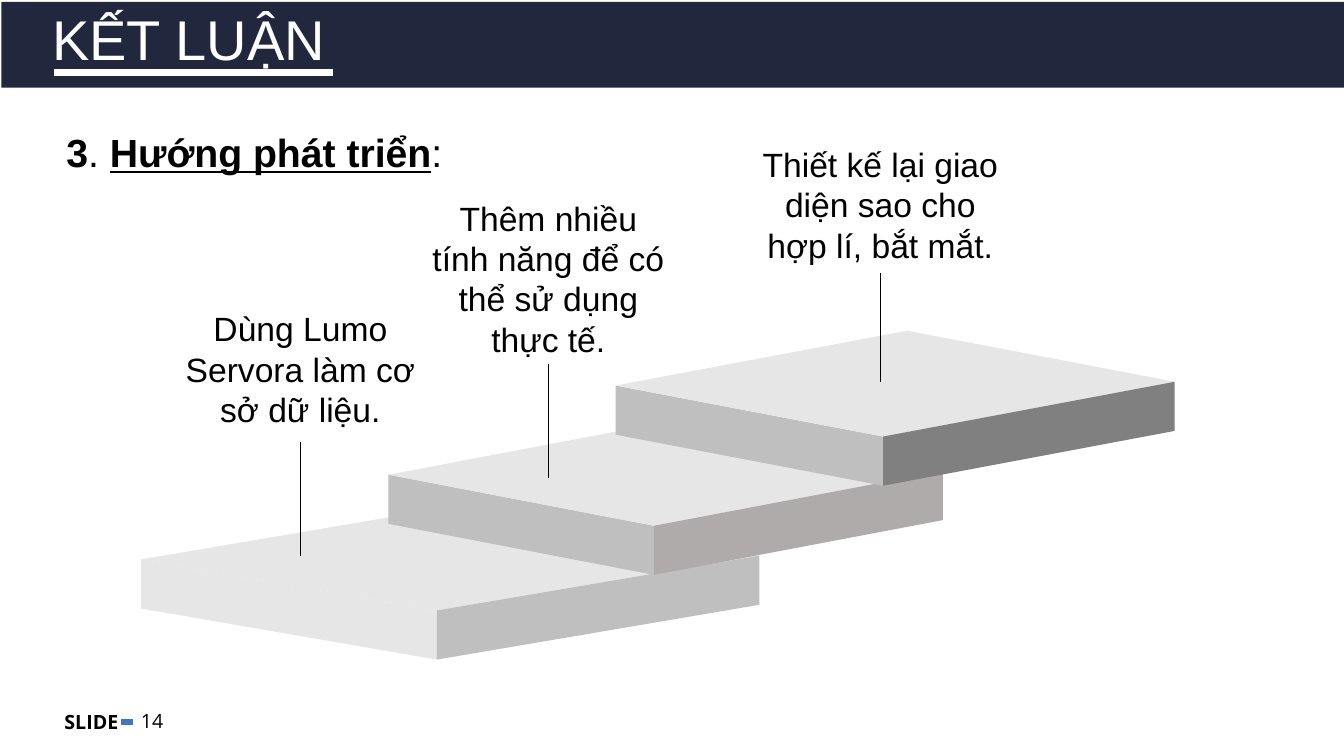
import pptx
import pptx.util
import pptx.dml.color
import pptx.enum.shapes
import pptx.enum.text
import pptx.oxml.ns
import lxml.etree

RGBColor = pptx.dml.color.RGBColor
ALIGN = pptx.enum.text.PP_ALIGN
BLACK = RGBColor(0x00, 0x00, 0x00)
WHITE = RGBColor(0xFF, 0xFF, 0xFF)
NAVY = RGBColor(0x00, 0x08, 0x20)
BLUE = RGBColor(0x44, 0x72, 0xC4)
PALE = RGBColor(0xE6, 0xE6, 0xE6)
SILVER = RGBColor(0xBF, 0xBF, 0xBF)
WARM_GREY = RGBColor(0xAF, 0xAB, 0xAB)
DARK_GREY = RGBColor(0x80, 0x80, 0x80)

SLIDE_WIDTH = pptx.util.Inches(13.33)
SLIDE_HEIGHT = pptx.util.Inches(7.5)

# Shared proportions of the steps and captions, in percent of the slide
FRONT_DROP = 6.75
RIGHT_RISE = 7.25
STEP_DEPTH = 6.5
CAPTION_WIDTH = 19.4
LINE_HEIGHT = 5.4

# West, front and right corner x, west corner y, left and right side colours
STEPS = [
    (10.5, 32.5, 56.5, 74, PALE, SILVER),
    (28.9, 48.65, 70.15, 62.8, SILVER, WARM_GREY),
    (45.8, 65.7, 87.4, 51, SILVER, DARK_GREY),
]
# Centre x, caption top, line count, pointer top and bottom, words
CAPTIONS = [
    (22.35, 40.1, 3, 58.5, 73.5, "Dùng Lumo Servora làm cơ sở dữ liệu."),
    (40.8, 25.5, 4, 48.1, 63.2, "Thêm nhiều tính năng để có thể sử dụng thực tế."),
    (65.5, 18.4, 3, 36.1, 50.5, "Thiết kế lại giao diện sao cho hợp lí, bắt mắt."),
]


def across(percent):
    return round(SLIDE_WIDTH * percent / 100)


def down(percent):
    return round(SLIDE_HEIGHT * percent / 100)


def add_text(slide, left, top, width, height, runs, size, color=BLACK,
             font="Arial", align=ALIGN.LEFT, wrap=True):
    """Each run is (words, bold, underline)."""
    box = slide.shapes.add_textbox(across(left), down(top), across(width), down(height))
    box.text_frame.word_wrap = wrap
    paragraph = box.text_frame.paragraphs[0]
    paragraph.alignment = align
    for words, bold, underline in runs:
        run = paragraph.add_run()
        run.text = words
        run.font.name = font
        run.font.size = pptx.util.Pt(size)
        run.font.bold = bold
        run.font.underline = underline
        run.font.color.rgb = color


def add_line(slide, x1, y1, x2, y2, color, weight):
    line = slide.shapes.add_connector(
        pptx.enum.shapes.MSO_CONNECTOR.STRAIGHT,
        across(x1), down(y1), across(x2), down(y2))
    line.line.color.rgb = color
    line.line.width = pptx.util.Pt(weight)
    properties = line._element.spPr
    lxml.etree.SubElement(properties, pptx.oxml.ns.qn("a:effectLst"))


def add_face(group, corners, color):
    points = [(across(x), down(y)) for x, y in corners]
    builder = group.shapes.build_freeform(*points[0])
    builder.add_line_segments(points[1:], close=True)
    face = builder.convert_to_shape()
    face.shadow.inherit = False
    face.fill.solid()
    face.fill.fore_color.rgb = color
    face.line.fill.background()


def add_step(slide, west_x, front_x, right_x, west_y, left_color, right_color):
    west = (west_x, west_y)
    front = (front_x, west_y + FRONT_DROP)
    right = (right_x, front[1] - RIGHT_RISE)
    back = (west_x + right_x - front_x, west_y - RIGHT_RISE)
    low_west, low_front, low_right = [(x, y + STEP_DEPTH) for x, y in (west, front, right)]
    group = slide.shapes.add_group_shape()
    add_face(group, [west, front, low_front, low_west], left_color)
    add_face(group, [west, back, right, front], PALE)
    add_face(group, [front, right, low_right, low_front], right_color)


def add_caption(slide, center, top, lines, pointer_top, pointer_bottom, words):
    add_line(slide, center, pointer_top, center, pointer_bottom, BLACK, 0.5)
    add_text(slide, center - CAPTION_WIDTH / 2, top, CAPTION_WIDTH,
             lines * LINE_HEIGHT + 1.3, [(words, False, False)], 24, align=ALIGN.CENTER)


def add_title_band(slide, words):
    band = slide.shapes.add_shape(
        pptx.enum.shapes.MSO_SHAPE.RECTANGLE,
        across(0.1), down(0.25), across(99.9), down(11.35))
    band.shadow.inherit = False
    band.line.fill.background()
    band.fill.solid()
    band.fill.fore_color.rgb = NAVY
    color = band._element.spPr.find(".//" + pptx.oxml.ns.qn("a:srgbClr"))
    lxml.etree.SubElement(color, pptx.oxml.ns.qn("a:alpha"), val="87000")
    add_text(slide, 3.15, 0, 33, 10.3, [(words, False, False)], 40, WHITE)
    add_line(slide, 4.05, 9.6, 24.8, 9.6, WHITE, 4.5)


def add_footer(slide, number):
    add_text(slide, 9.75, 93.05, 5.3, 4.5, [(number, False, False)], 14, font="Open Sans")
    add_text(slide, 3.75, 93.2, 6.1, 4.5, [("SLIDE", True, False)], 14,
             font="Open Sans", align=ALIGN.CENTER, wrap=False)
    add_line(slide, 9, 95.5, 9.9, 95.5, BLUE, 4.5)


def main():
    presentation = pptx.Presentation()
    presentation.slide_width = SLIDE_WIDTH
    presentation.slide_height = SLIDE_HEIGHT
    slide = presentation.slides.add_slide(presentation.slide_layouts[6])

    add_footer(slide, "14")

    # Staircase, lowest step first
    for step in STEPS:
        add_step(slide, *step)
    for caption in CAPTIONS:
        add_caption(slide, *caption)

    # Title and heading
    add_title_band(slide, "KẾT LUẬN")
    add_text(slide, 4.2, 16.3, 52.3, 11.7, [
        ("3", True, False), (". ", False, False),
        ("Hướng phát triển", True, True), (":", False, False)], 28)

    presentation.save("out.pptx")


main()
